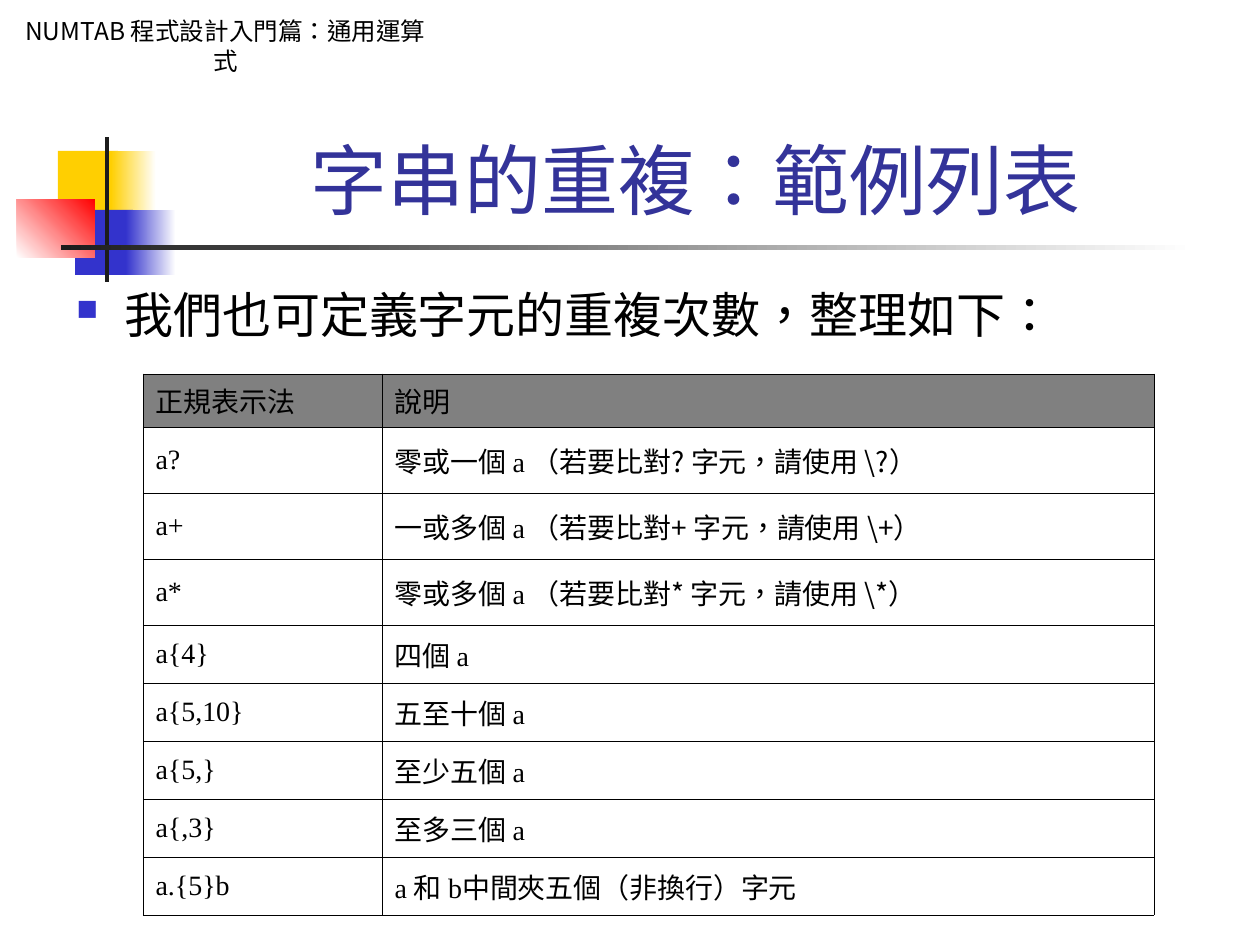
import pptx
import pptx.dml.color
import pptx.enum.shapes
import pptx.enum.text
import pptx.oxml
import pptx.oxml.ns
import pptx.util

PX = 914400 // 126
SANS, ROBOTO, SERIF = "Noto Sans CJK SC", "Roboto", "Times New Roman"
WHITE, BLACK, YELLOW, BLUE, RED, DARK = (
    "FFFFFF", "000000", "FFCF01", "3333CC", "FF0000", "1C1C1C")
TITLE_BLUE, HEADER_GRAY = "333399", "808080"
CENTER = pptx.enum.text.PP_ALIGN.CENTER
LEFT = pptx.enum.text.PP_ALIGN.LEFT
HANG = 48

# left, top, width, height, colours (two make a gradient), angle
DECORATION = [
    (58, 151, 60, 66, [YELLOW], 0),
    (111, 151, 45, 66, [YELLOW, WHITE], 0),
    (75, 210, 58, 65, [BLUE], 0),
    (126, 210, 50, 65, [BLUE, WHITE], 0),
    (17, 199, 78, 59, [WHITE, RED], 45),
    (105, 137, 4, 145, [DARK], 0),
    (61, 245, 1134, 5, [DARK, WHITE], 0),
]

# Each cell is a list of runs
ROWS = [
    [["正規表示法"], ["說明"]],
    [["a?"], ["零或一個 ", "a ", "（若要比對? 字元，請使用 \\?）"]],
    [["a+"], ["一或多個 ", "a ", "（若要比對+ 字元，請使用 \\+）"]],
    [["a*"], ["零或多個 ", "a ", "（若要比對* 字元，請使用 \\*）"]],
    [["a{4}"], ["四個 ", "a"]],
    [["a{5,10}"], ["五至十個 ", "a"]],
    [["a{5,}"], ["至少五個 ", "a"]],
    [["a{,3}"], ["至多三個 ", "a"]],
    [["a.{5}b"], ["a ", "和 ", "b", "中間夾五個（非換行）字元"]],
]
COL_WIDTHS = [239, 772]
ROW_HEIGHTS = [53] + [66] * 3 + [58] * 5


def px(n):
    return pptx.util.Emu(n * PX)


def rgb(color):
    return pptx.dml.color.RGBColor.from_string(color)


def element(xml):
    """Parse an XML fragment whose root is in the drawing namespace."""
    ns = pptx.oxml.ns.nsdecls("a")
    tag, rest = xml[1:].split(" ", 1)
    return pptx.oxml.parse_xml(f"<{tag} {ns} {rest}")


class SlideBuilder:
    def __init__(self, s):
        self.s = s

    def style(self, p, size, font, color, align=LEFT):
        p.alignment = align
        for r in p.runs:
            r.font.size = pptx.util.Pt(size)
            r.font.name = font
            r.font.color.rgb = rgb(color)
            rpr = r.font._element
            rpr.set("lang", "zh-TW")
            rpr.find(pptx.oxml.ns.qn("a:latin")).addnext(
                element(f'<a:ea typeface="{font}"/>'))

    def hang(self, p):
        ppr = p._p.get_or_add_pPr()
        ppr.set("marL", str(px(HANG)))
        ppr.set("indent", str(-px(HANG)))
        return ppr

    def title(self, box, text):
        sp = self.s.shapes.title
        sp.left, sp.top, sp.width, sp.height = map(px, box)
        tf = sp.text_frame
        tf.text = text
        tf.auto_size = pptx.enum.text.MSO_AUTO_SIZE.NONE
        tf.vertical_anchor = pptx.enum.text.MSO_ANCHOR.BOTTOM
        self.style(tf.paragraphs[0], 44, ROBOTO, TITLE_BLUE, CENTER)

    def rect(self, box, colors, angle=0):
        sp = self.s.shapes.add_shape(
            pptx.enum.shapes.MSO_SHAPE.RECTANGLE, *map(px, box))
        sp.shadow.inherit = False
        sp.line.fill.background()
        if len(colors) == 1:
            sp.fill.solid()
            sp.fill.fore_color.rgb = rgb(colors[0])
        else:
            sp.fill.gradient()
            sp.fill.gradient_angle = angle
            for stop, color in zip(sp.fill.gradient_stops, colors):
                stop.color.rgb = rgb(color)
        return sp

    def header(self, box, text):
        tf = self.rect(box, [WHITE]).text_frame
        tf.text = text
        tf.word_wrap = True
        tf.vertical_anchor = pptx.enum.text.MSO_ANCHOR.TOP
        self.style(tf.paragraphs[0], 14, SANS, BLACK, CENTER)

    def bullet(self, box, text):
        tf = self.s.shapes.add_textbox(*map(px, box)).text_frame
        tf.word_wrap = True
        tf.text = text
        p = tf.paragraphs[0]
        ppr = self.hang(p)
        for xml in (f'<a:buClr ><a:srgbClr val="{BLUE}"/></a:buClr>',
                    '<a:buSzPct val="60000"/>',
                    '<a:buChar char="■"/>'):
            ppr.append(element(xml))
        self.style(p, 28, ROBOTO, BLACK)

    def cell(self, cell, runs, fill):
        cell.fill.solid()
        cell.fill.fore_color.rgb = rgb(fill)
        cell.vertical_anchor = pptx.enum.text.MSO_ANCHOR.MIDDLE
        p = cell.text_frame.paragraphs[0]
        self.hang(p)
        for text in runs:
            r = p.add_run()
            r.text = text
        self.style(p, 16, SANS, BLACK)
        for r in p.runs:
            if r.text[0] in "ab":
                r.font.name = SERIF
        tcpr = cell._tc.get_or_add_tcPr()
        for i, side in enumerate(("lnL", "lnR", "lnT", "lnB")):
            tcpr.insert(i, element(
                f'<a:{side} w="4320"><a:solidFill><a:srgbClr val="{BLACK}"/>'
                f'</a:solidFill></a:{side}>'))

    def table(self, left, top, rows, widths, heights):
        table = self.s.shapes.add_table(
            len(rows), len(widths), px(left), px(top),
            px(sum(widths)), px(sum(heights))).table
        table.first_row = table.horz_banding = False
        for col, width in zip(table.columns, widths):
            col.width = px(width)
        for i, (row, height) in enumerate(zip(rows, heights)):
            table.rows[i].height = px(height)
            for j, runs in enumerate(row):
                self.cell(table.cell(i, j), runs, WHITE if i else HEADER_GRAY)


def main():
    prs = pptx.Presentation()
    prs.slide_width, prs.slide_height = px(1260), px(945)
    b = SlideBuilder(prs.slides.add_slide(prs.slide_layouts[5]))
    for *box, colors, angle in DECORATION:
        b.rect(box, colors, angle)
    b.header((10, 10, 431, 72), "NUMTAB 程式設計入門篇：通用運算式")
    b.title((159, 29, 1073, 202), "字串的重複：範例列表")
    b.bullet((64, 278, 1121, 621), "我們也可定義字元的重複次數，整理如下：")
    b.table(143, 374, ROWS, COL_WIDTHS, ROW_HEIGHTS)
    prs.save("out.pptx")


if __name__ == "__main__":
    main()
